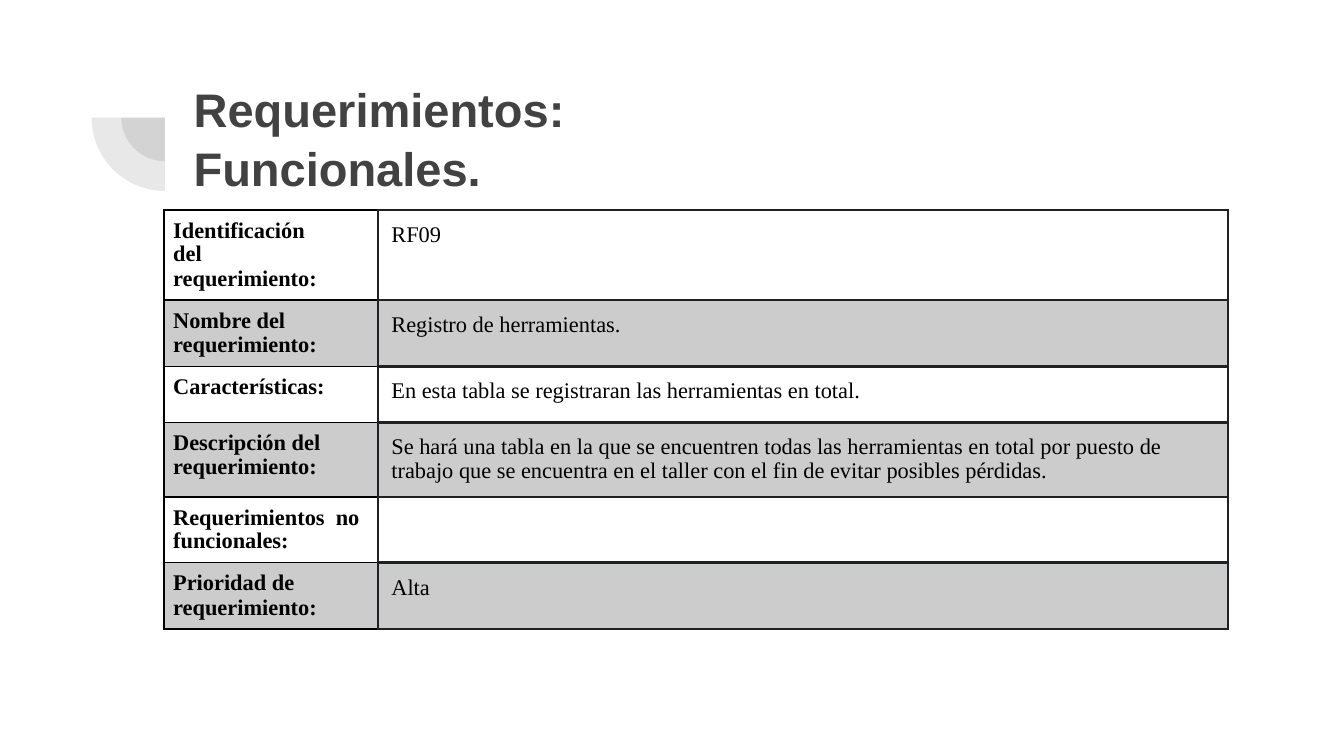
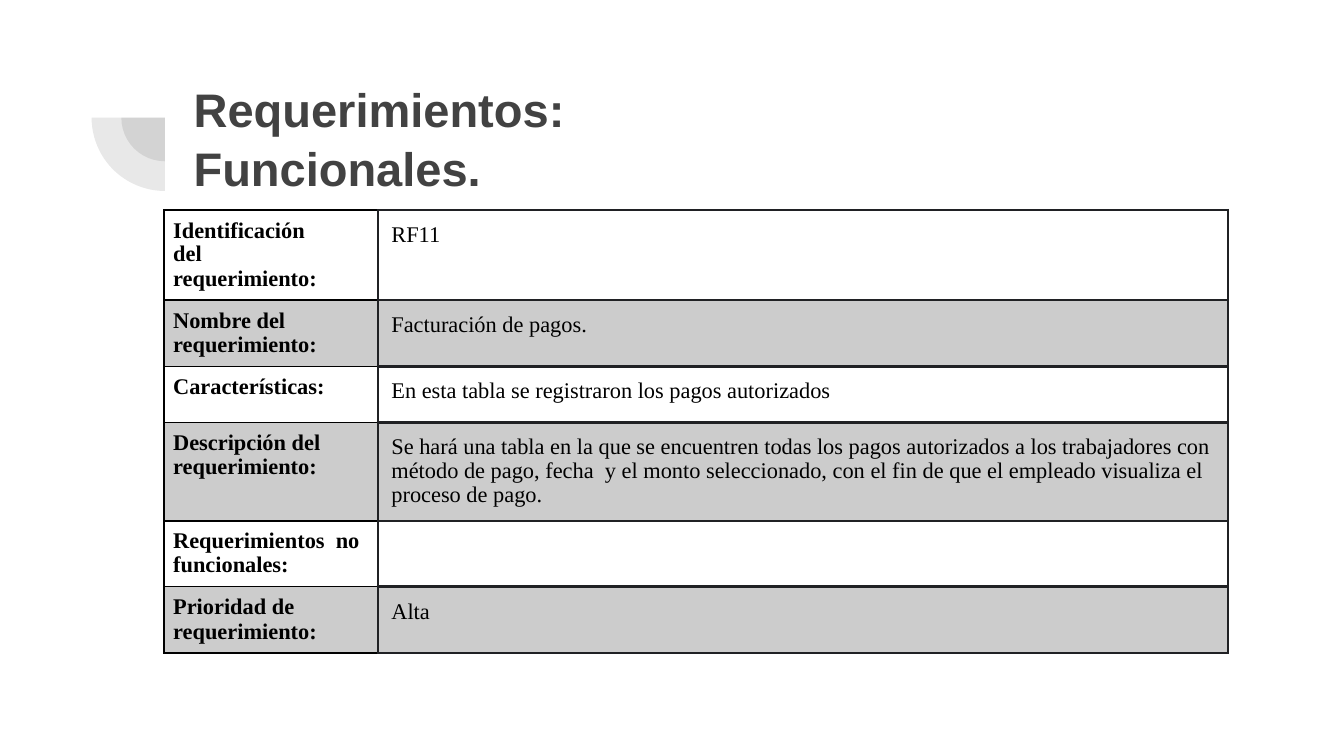
import dataclasses

import pptx
import pptx.dml.color
import pptx.enum.shapes
import pptx.enum.text
import pptx.oxml
import pptx.oxml.ns
import pptx.presentation
import pptx.slide
import pptx.table
import pptx.text.text
import pptx.util

Pt = pptx.util.Pt

BLACK = "000000"
DARK = "202124"
TITLE_GREY = "424242"
BAND_GREY = "CCCCCC"
TITLE_LINES = ("Requerimientos:", "Funcionales.")
TITLE_FONT = "Arial"
TABLE_FONT = "Times New Roman"

PIE_CENTER = (88.4, 63)
PIE_DIAMETERS = (46.8, 78.6)
PIE_OPACITY = 12

TABLE_LEFT, TABLE_TOP = 88, 112.5
COLUMN_WIDTHS = (114.5, 455.5)
ROW_HEIGHT = 30


@dataclasses.dataclass(frozen=True)
class Border:
    color: str
    width: float


@dataclasses.dataclass(frozen=True)
class CellStyle:
    bold: bool
    inset: float
    borders: dict[str, Border]


@dataclasses.dataclass(frozen=True)
class Label:
    lines: tuple[str, ...]
    right_indent: float = 0


@dataclasses.dataclass(frozen=True)
class Requirement:
    code: str
    name: str
    features: str
    description: str
    non_functional: str
    priority: str


THIN = Border(BLACK, 1)
THICK = Border(DARK, 1.5)
LABEL_STYLE = CellStyle(True, 4.8, {"L": THIN, "R": THICK, "T": THIN, "B": THIN})
VALUE_STYLE = CellStyle(False, 7.2, {side: THICK for side in "LRTB"})

LABELS = (
    Label(("Identificación del", "requerimiento:"), right_indent=25),
    Label(("Nombre del", "requerimiento:")),
    Label(("Características:",)),
    Label(("Descripción del requerimiento:",)),
    Label(("Requerimientos  no funcionales:",)),
    Label(("Prioridad de", "requerimiento:")),
)

REQUIREMENTS = (
    Requirement(
        "RF09",
        "Registro de herramientas.",
        "En esta tabla se registraran las herramientas en total.",
        "Se hará una tabla en la que se encuentren todas las herramientas en total "
        "por puesto de trabajo que se encuentra en el taller con el fin de evitar "
        "posibles pérdidas.",
        "",
        "Alta",
    ),
    Requirement(
        "RF11",
        "Facturación de pagos.",
        "En esta tabla se registraron los pagos autorizados",
        "Se hará una tabla en la que se encuentren todas los pagos autorizados a los "
        "trabajadores con método de pago, fecha  y el monto seleccionado, con el fin "
        "de que el empleado visualiza el proceso de pago.",
        "",
        "Alta",
    ),
)


def rgb(color: str) -> pptx.dml.color.RGBColor:
    return pptx.dml.color.RGBColor.from_string(color)


def format_font(
    paragraph: pptx.text.text._Paragraph, name: str, size: float, color: str, bold: bool
) -> None:
    font = paragraph.font
    font.name = name
    font.size = Pt(size)
    font.bold = bold
    font.color.rgb = rgb(color)


def set_insets(target: pptx.text.text.TextFrame | pptx.table._Cell, inset: float) -> None:
    target.margin_left = target.margin_right = Pt(inset)
    target.margin_top = target.margin_bottom = Pt(inset)


def draw_pies(slide: pptx.slide.Slide) -> None:
    center_x, center_y = PIE_CENTER
    for diameter in PIE_DIAMETERS:
        pie = slide.shapes.add_shape(
            pptx.enum.shapes.MSO_SHAPE.PIE,
            Pt(center_x - diameter / 2),
            Pt(center_y - diameter / 2),
            Pt(diameter),
            Pt(diameter),
        )
        pie.adjustments[0] = 108
        pie.adjustments[1] = 162
        pie.rotation = 270
        pie.shadow.inherit = False
        pie.line.fill.background()
        pie.fill.solid()
        pie.fill.fore_color.rgb = rgb(TITLE_GREY)
        color = pie.fill._xPr.find(".//" + pptx.oxml.ns.qn("a:srgbClr"))
        alpha = color.makeelement(pptx.oxml.ns.qn("a:alpha"), {"val": str(PIE_OPACITY * 1000)})
        color.append(alpha)


def write_title(slide: pptx.slide.Slide) -> None:
    title = slide.shapes.title
    title.left, title.top = Pt(96.5), Pt(34)
    title.width, title.height = Pt(553.5), Pt(78.5)
    frame = title.text_frame
    frame.word_wrap = True
    frame.auto_size = pptx.enum.text.MSO_AUTO_SIZE.NONE
    frame.vertical_anchor = pptx.enum.text.MSO_ANCHOR.MIDDLE
    set_insets(frame, 7.2)
    frame.text = "\n".join(TITLE_LINES)
    for paragraph in frame.paragraphs:
        paragraph.alignment = pptx.enum.text.PP_ALIGN.LEFT
        paragraph.line_spacing = 1.05
        paragraph.space_before = Pt(0)
        format_font(paragraph, TITLE_FONT, 25.2, TITLE_GREY, True)


def set_borders(cell: pptx.table._Cell, borders: dict[str, Border]) -> None:
    properties = cell._tc.get_or_add_tcPr()
    for position, (side, border) in enumerate(borders.items()):
        line = pptx.oxml.parse_xml(
            f'<a:ln{side} {pptx.oxml.ns.nsdecls("a")} w="{Pt(border.width)}">'
            f'<a:solidFill><a:srgbClr val="{border.color}"/></a:solidFill></a:ln{side}>'
        )
        properties.insert(position, line)


def write_cell(
    cell: pptx.table._Cell, lines: tuple[str, ...], style: CellStyle, shaded: bool
) -> None:
    set_insets(cell, style.inset)
    if shaded:
        cell.fill.solid()
        cell.fill.fore_color.rgb = rgb(BAND_GREY)
    else:
        cell.fill.background()
    set_borders(cell, style.borders)
    cell.text_frame.text = "\n".join(lines)
    for index, paragraph in enumerate(cell.text_frame.paragraphs):
        paragraph.line_spacing = 0.96
        paragraph.space_before = Pt(0.3 if index else 0)
        format_font(paragraph, TABLE_FONT, 12, BLACK, style.bold)


def draw_table(slide: pptx.slide.Slide, requirement: Requirement) -> None:
    table = slide.shapes.add_table(
        len(LABELS),
        len(COLUMN_WIDTHS),
        Pt(TABLE_LEFT),
        Pt(TABLE_TOP),
        Pt(sum(COLUMN_WIDTHS)),
        Pt(ROW_HEIGHT * len(LABELS)),
    ).table
    table.first_row = False
    table.horz_banding = False
    for column, width in zip(table.columns, COLUMN_WIDTHS):
        column.width = Pt(width)
    values = dataclasses.astuple(requirement)
    for index, (label, value) in enumerate(zip(LABELS, values)):
        shaded = index % 2 == 1
        label_cell = table.cell(index, 0)
        write_cell(label_cell, label.lines, LABEL_STYLE, shaded)
        write_cell(table.cell(index, 1), (value,), VALUE_STYLE, shaded)
        if label.right_indent:
            first = label_cell.text_frame.paragraphs[0]
            first._p.get_or_add_pPr().set("marR", str(Pt(label.right_indent)))


def add_requirement_slide(
    presentation: pptx.presentation.Presentation, requirement: Requirement
) -> None:
    slide = presentation.slides.add_slide(presentation.slide_layouts.get_by_name("Title Only"))
    draw_pies(slide)
    write_title(slide)
    draw_table(slide, requirement)


def main() -> None:
    presentation = pptx.Presentation()
    presentation.slide_width = Pt(720)
    presentation.slide_height = Pt(405)
    for requirement in REQUIREMENTS:
        add_requirement_slide(presentation, requirement)
    presentation.save("out.pptx")


if __name__ == "__main__":
    main()
